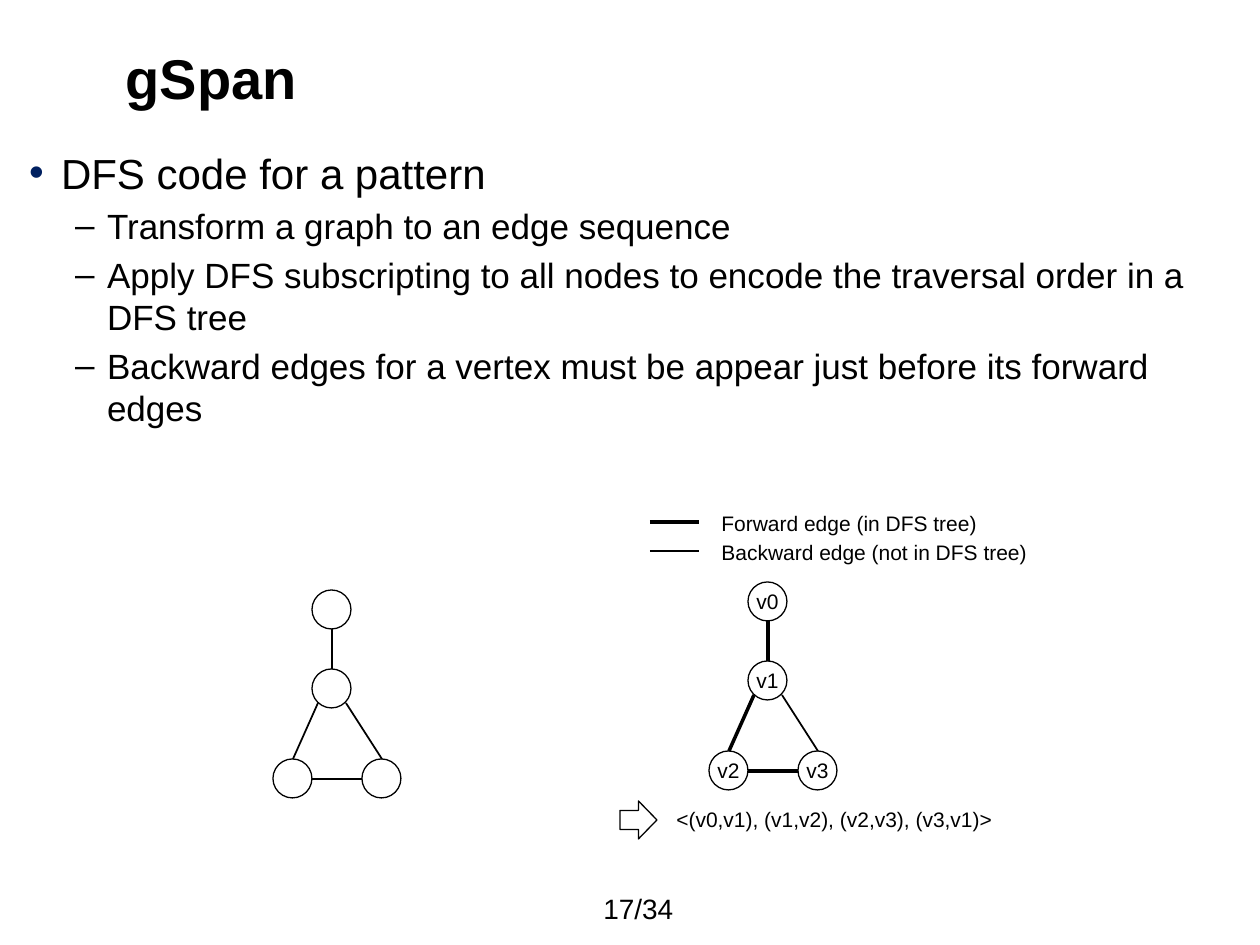
import lxml.etree
import pptx
import pptx.dml.color
import pptx.enum.shapes
import pptx.enum.text
import pptx.oxml.ns
import pptx.util

PX = 914400 / 126
BLACK = pptx.dml.color.RGBColor(0x00, 0x00, 0x00)
NAVY = pptx.dml.color.RGBColor(0x00, 0x20, 0x60)
FONT = "Arial"
SHAPE = pptx.enum.shapes.MSO_SHAPE
ANCHOR = pptx.enum.text.MSO_ANCHOR
ALIGN = pptx.enum.text.PP_ALIGN
AUTO = pptx.enum.text.MSO_AUTO_SIZE
qn = pptx.oxml.ns.qn

NODE = 39
NODES = [(39, 0), (39, 79), (0, 169), (89, 169)]
EDGES = [(59, 39, 59, 79), (45, 113, 20, 169), (73, 113, 109, 169), (39, 189, 89, 189)]
BULLETS = [
    (0, "DFS code for a pattern"),
    (1, "Transform a graph to an edge sequence"),
    (1, "Apply DFS subscripting to all nodes to encode the traversal order in a DFS tree"),
    (1, "Backward edges for a vertex must be appear just before its forward edges"),
]
LEVELS = [("•", NAVY, 32, 24), ("–", BLACK, 78, 20)]


def emu(px):
    return pptx.util.Emu(round(px * PX))


def place(sp, x, y, w, h):
    sp.left, sp.top, sp.width, sp.height = emu(x), emu(y), emu(w), emu(h)


def add_run(p, text, size, bold=False):
    r = p.add_run()
    r.text = text
    r.font.name = FONT
    r.font.size = pptx.util.Pt(size)
    r.font.bold = bold
    r.font.color.rgb = BLACK


def add_label(s, x, y, w, h, text, size=12):
    tf = s.shapes.add_textbox(emu(x), emu(y), emu(w), emu(h)).text_frame
    tf.word_wrap = False
    tf.vertical_anchor = ANCHOR.MIDDLE
    add_run(tf.paragraphs[0], text, size)


def add_outline(s, kind, x, y, w, h):
    sp = s.shapes.add_shape(kind, emu(x), emu(y), emu(w), emu(h))
    sp.shadow.inherit = False
    sp.fill.background()
    sp.line.color.rgb = BLACK
    sp.line.width = pptx.util.Pt(0.75)
    return sp


def add_edge(s, x1, y1, x2, y2, weight):
    line = s.shapes.add_connector(
        pptx.enum.shapes.MSO_CONNECTOR.STRAIGHT, emu(x1), emu(y1), emu(x2), emu(y2))
    line.line.color.rgb = BLACK
    line.line.width = pptx.util.Pt(weight)
    lxml.etree.SubElement(line._element.spPr, qn("a:effectLst"))


def add_bullet(p, char, color, indent):
    pPr = p._p.get_or_add_pPr()
    pPr.set("marL", str(emu(indent)))
    pPr.set("indent", str(-emu(32)))
    clr = lxml.etree.SubElement(pPr, qn("a:buClr"))
    lxml.etree.SubElement(clr, qn("a:srgbClr")).set("val", str(color))
    lxml.etree.SubElement(pPr, qn("a:buFont")).set("typeface", FONT)
    lxml.etree.SubElement(pPr, qn("a:buChar")).set("char", char)


def fill_title(s, x, y, w, h):
    place(s.shapes.title, x, y, w, h)
    tf = s.shapes.title.text_frame
    tf.auto_size = AUTO.NONE
    tf.vertical_anchor = ANCHOR.MIDDLE
    p = tf.paragraphs[0]
    p.alignment = ALIGN.LEFT
    add_run(p, "gSpan", 32, True)


def fill_body(s, x, y, w, h):
    sp = s.placeholders[1]
    place(sp, x, y, w, h)
    tf = sp.text_frame
    tf.auto_size = AUTO.NONE
    tf.margin_left = tf.margin_top = tf.margin_right = tf.margin_bottom = 0
    for i, (level, text) in enumerate(BULLETS):
        char, color, indent, size = LEVELS[level]
        p = tf.add_paragraph() if i else tf.paragraphs[0]
        p.level = level
        add_bullet(p, char, color, indent)
        p.space_before = pptx.util.Pt(size * 0.2 if i else 0)
        add_run(p, text, size)


def add_graph(s, x, y, names, weights):
    for (dx, dy), name in zip(NODES, names):
        sp = add_outline(s, SHAPE.OVAL, x + dx, y + dy, NODE, NODE)
        if name:
            tf = sp.text_frame
            tf.margin_left = tf.margin_top = tf.margin_right = tf.margin_bottom = 0
            tf.word_wrap = False
            tf.vertical_anchor = ANCHOR.MIDDLE
            p = tf.paragraphs[0]
            p.alignment = ALIGN.CENTER
            add_run(p, name, 12)
    for (x1, y1, x2, y2), weight in zip(EDGES, weights):
        add_edge(s, x + x1, y + y1, x + x2, y + y2, weight)


def add_legend(s, x, y):
    rows = [("Forward edge (in DFS tree)", 283, 2), ("Backward edge (not in DFS tree)", 331, 1)]
    for i, (text, width, weight) in enumerate(rows):
        top = y + 29 * i
        add_edge(s, x, top + 18, x + 49, top + 18, weight)
        add_label(s, x + 59, top, width, 38, text)


def add_code(s, x, y):
    add_outline(s, SHAPE.RIGHT_ARROW, x, y + 1, 37, 38)
    add_label(s, x + 44, y, 350, 38, "<(v0,v1), (v1,v2), (v2,v3), (v3,v1)>")


def main():
    prs = pptx.Presentation()
    prs.slide_width, prs.slide_height = emu(1260), emu(945)
    s = prs.slides.add_slide(prs.slide_layouts[1])
    fill_title(s, 113, 37, 1045, 81)
    fill_body(s, 29, 147, 1201, 689)
    add_code(s, 620, 800)
    add_graph(s, 273, 590, [""] * 4, [1] * 4)
    add_graph(s, 709, 582, ["v0", "v1", "v2", "v3"], [2, 2, 1, 2])
    add_legend(s, 650, 504)
    add_label(s, 591, 890, 108, 37, "17/34", 16)
    prs.save("out.pptx")


if __name__ == "__main__":
    main()
